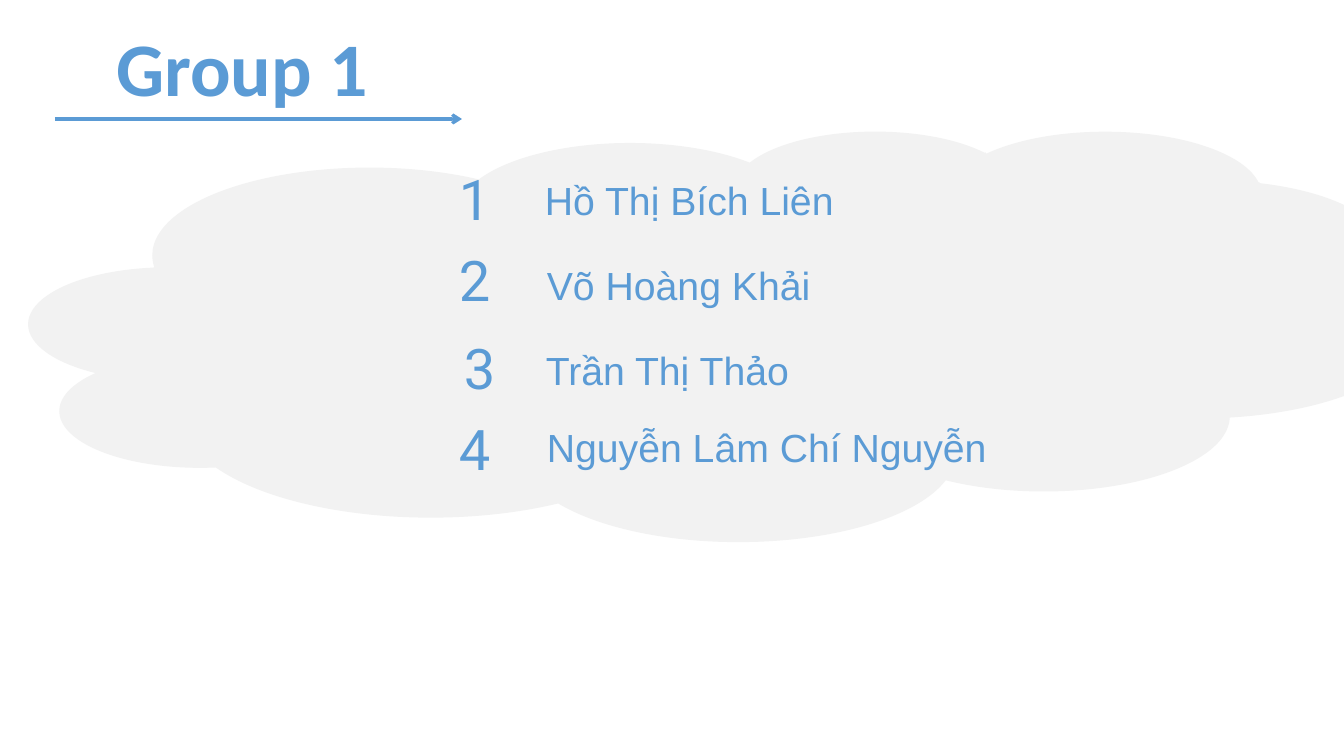
from pptx import Presentation
from pptx.dml.color import RGBColor
from pptx.enum.shapes import MSO_CONNECTOR, MSO_SHAPE
from pptx.enum.text import MSO_ANCHOR, PP_ALIGN
from pptx.oxml.ns import qn
from pptx.util import Pt
from lxml import etree

PX = 914400 / 100.8
BLUE, CLOUD_GREY = "5B9BD5", "F2F2F2"


def color(hex_string):
    return RGBColor.from_string(hex_string)


def add_text(text, box, align=PP_ALIGN.LEFT, **font_format):
    frame = slide.shapes.add_textbox(*[round(n * PX) for n in box]).text_frame
    frame.word_wrap = True
    frame.vertical_anchor = MSO_ANCHOR.TOP
    paragraph = frame.paragraphs[0]
    paragraph.alignment = align
    run = paragraph.add_run()
    run.text = text
    for attribute, value in font_format.items():
        setattr(run.font, attribute, value)
    run.font.color.rgb = color(BLUE)


presentation = Presentation()
presentation.slide_width = round(1344 * PX)
presentation.slide_height = round(756 * PX)
slide = presentation.slides.add_slide(presentation.slide_layouts[6])

# Cloud behind the names
cloud = slide.shapes.add_shape(
    MSO_SHAPE.CLOUD, *[round(n * PX) for n in (30, 131, 1385, 409)])
cloud.shadow.inherit = False
cloud.fill.solid()
cloud.fill.fore_color.rgb = color(CLOUD_GREY)
cloud.line.color.rgb = color(CLOUD_GREY)
cloud.line.width = Pt(1)

# Arrow under the title
underline = slide.shapes.add_connector(
    MSO_CONNECTOR.STRAIGHT, *[round(n * PX) for n in (55, 119, 462, 119)])
underline.line.color.rgb = color(BLUE)
underline.line.width = Pt(2.25)
etree.SubElement(underline.line._get_or_add_ln(), qn("a:tailEnd"), type="arrow")
etree.SubElement(underline._element.spPr, qn("a:effectLst"))

# Title
add_text("Group 1", (27, 16, 430, 100), PP_ALIGN.CENTER,
         name="Calibri", size=Pt(54), bold=True)

# Members: number left and top, name left and top
members = [
    ("Hồ Thị Bích Liên", 449, 160, 535, 171),
    ("Võ Hoàng Khải", 449, 241, 537, 256),
    ("Trần Thị Thảo", 454, 329, 536, 341),
    ("Nguyễn Lâm Chí Nguyễn", 449, 410, 537, 418),
]
for number, (member, number_x, number_y, name_x, name_y) in enumerate(members, 1):
    add_text(str(number), (number_x, number_y, 59, 68), name="Roboto", size=Pt(40))
    add_text(member, (name_x, name_y, 469, 53), name="Arial", size=Pt(28))

presentation.save("out.pptx")
